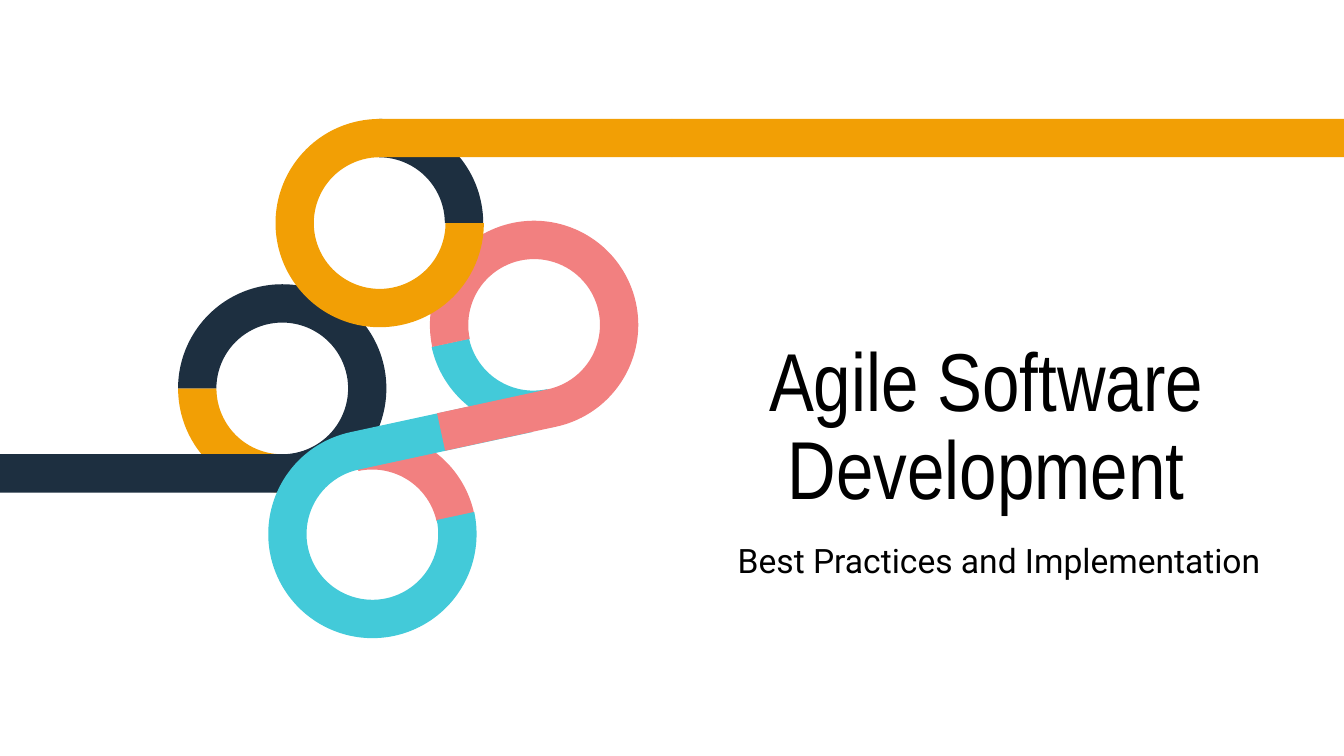
from dataclasses import dataclass
from math import cos, radians, sin

from lxml.etree import Element
from pptx import Presentation
from pptx.dml.color import RGBColor
from pptx.enum.shapes import MSO_SHAPE
from pptx.enum.text import MSO_ANCHOR, PP_ALIGN
from pptx.oxml.ns import qn
from pptx.util import Inches, Pt

COLUMNS, ROWS = 100, 56.25  # square grid cells, 0.1 inch each


@dataclass(frozen=True)
class Theme:
    navy: str = "1D2F40"
    amber: str = "F29F05"
    cyan: str = "43CAD9"
    pink: str = "F28080"
    ink: str = "000000"
    title_font: str = "Arial Narrow"
    body_font: str = "Roboto"
    title_size: int = 44
    body_size: int = 18
    outer: float = 7.75  # ring radii in grid cells
    inner: float = 4.9
    tilt: float = -12.2


def cells(n):
    return Inches(n / 10)


def write(tf, text, font, size, color, spacing=1.0):
    p = tf.paragraphs[0]
    p.alignment = PP_ALIGN.CENTER
    p.line_spacing = spacing
    r = p.add_run()
    r.text = text
    r.font.name = font
    r.font.size = Pt(size)
    r.font.color.rgb = RGBColor.from_string(color)


def bend(lines, radius, start, sweep):
    """Turn straight path segments into successive circular arcs."""
    for i, line in enumerate(lines):
        arc = Element(qn("a:arcTo"))
        arc.set("wR", str(cells(radius)))
        arc.set("hR", str(cells(radius)))
        arc.set("stAng", str((start + i * sweep) % 360 * 60000))
        arc.set("swAng", str(sweep * 60000))
        line.getparent().replace(line, arc)


class SlideArtist:
    def __init__(self, prs, theme):
        self.theme = theme
        self.s = prs.slides.add_slide(prs.slide_layouts[6])

    def paint(self, sp, color):
        sp.shadow.inherit = False
        sp.fill.solid()
        sp.fill.fore_color.rgb = RGBColor.from_string(color)
        sp.line.fill.background()

    def band(self, cx, cy, start, end, color, tail=0, rotation=0):
        """Ring of quarter turns, clockwise from start to end, then a straight tail."""
        angles = [radians(a) for a in range(start, end + 1, 90)]
        outer, inner = ([(cx + radius * cos(a), cy + radius * sin(a)) for a in angles]
                        for radius in (self.theme.outer, self.theme.inner))
        inner.reverse()
        dx, dy = -sin(angles[-1]) * tail, cos(angles[-1]) * tail
        tip = [(x + dx, y + dy) for x, y in (outer[-1], inner[0])] if tail else []
        points = [(cells(x), cells(y)) for x, y in outer + tip + inner]
        builder = self.s.shapes.build_freeform(*points[0])
        builder.add_line_segments(points[1:], close=True)
        sp = builder.convert_to_shape()
        lines = list(sp.element.iter(qn("a:lnTo")))
        turns = len(angles) - 1
        bend(lines[:turns], self.theme.outer, start, 90)
        bend(lines[-turns:], self.theme.inner, end, -90)
        sp.rotation = rotation
        self.paint(sp, color)

    def bar(self, x, y, w, h, color):
        sp = self.s.shapes.add_shape(MSO_SHAPE.RECTANGLE, *map(cells, (x, y, w, h)))
        self.paint(sp, color)

    def text(self, x, y, w, h, text, anchor=MSO_ANCHOR.TOP, **style):
        tf = self.s.shapes.add_textbox(*map(cells, (x, y, w, h))).text_frame
        tf.word_wrap = True
        tf.vertical_anchor = anchor
        tf.margin_left = tf.margin_right = tf.margin_top = tf.margin_bottom = cells(1)
        write(tf, text, color=self.theme.ink, **style)


def main():
    prs = Presentation()
    prs.slide_width, prs.slide_height = cells(COLUMNS), cells(ROWS)
    t = Theme()
    art = SlideArtist(prs, t)

    art.text(48.4, 22.7, 50, 16.8, "Agile Software Development", MSO_ANCHOR.BOTTOM,
             font=t.title_font, size=t.title_size, spacing=0.9)
    art.text(53, 39.2, 42.7, 7.6, "Best Practices and Implementation",
             font=t.body_font, size=t.body_size)

    # Quarter rings lie behind the loops that complete them
    art.band(40.6, 24.9, 90, 180, t.cyan, rotation=t.tilt)
    art.band(28.2, 16.6, 270, 360, t.navy)
    art.band(21, 28.9, 90, 180, t.amber)
    art.band(26.8, 39.1, 270, 360, t.pink, rotation=t.tilt)

    art.band(21, 28.9, 180, 450, t.navy, tail=21)
    art.band(27.65, 39.15, 0, 270, t.cyan, tail=13.25, rotation=t.tilt)
    art.band(39.75, 24.25, 180, 450, t.pink, tail=8.45, rotation=t.tilt)
    art.band(28.25, 16.6, 0, 270, t.amber, tail=21.75)
    art.bar(COLUMNS / 2, 16.6 - t.outer, COLUMNS / 2, t.outer - t.inner, t.amber)

    prs.save("out.pptx")


if __name__ == "__main__":
    main()
